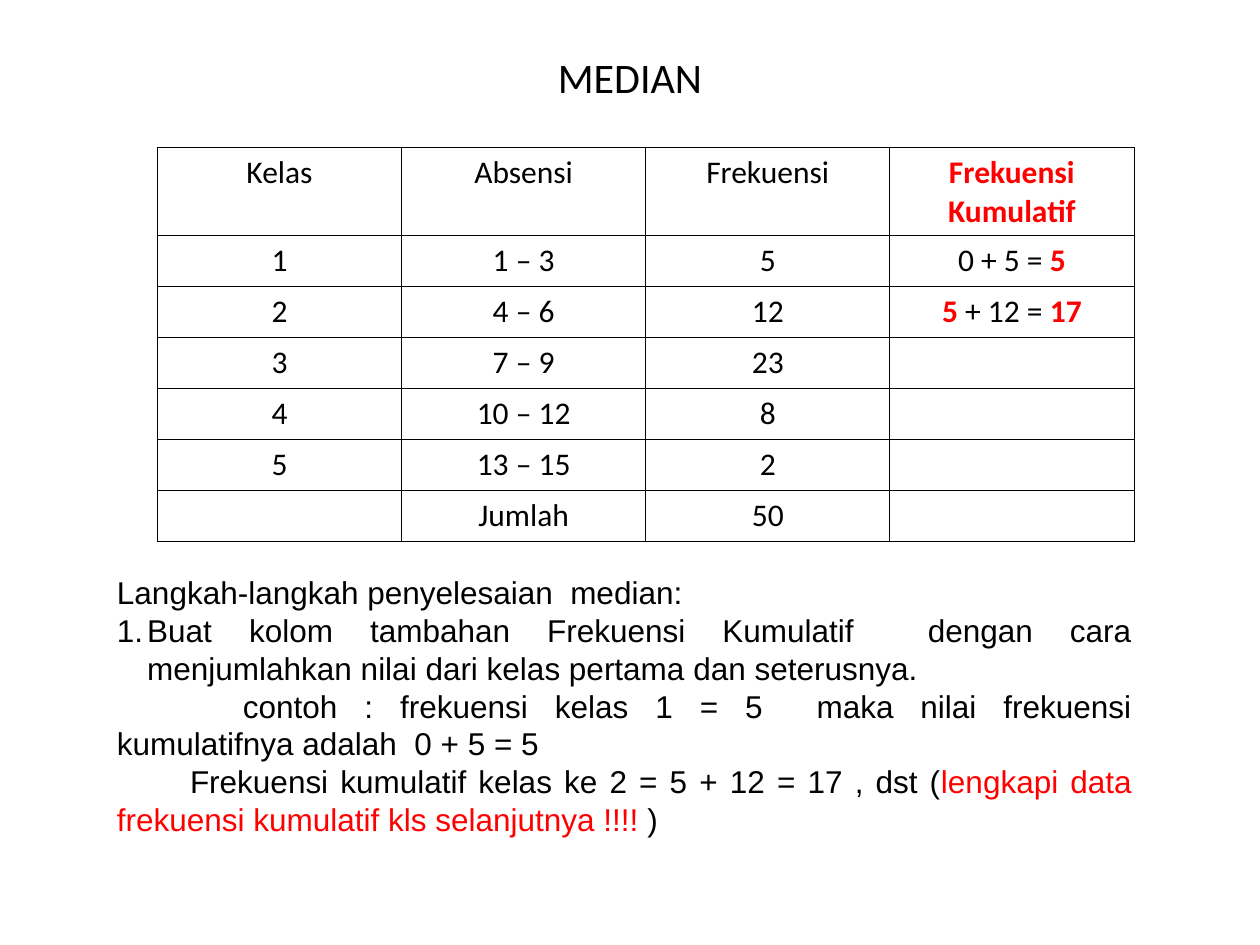
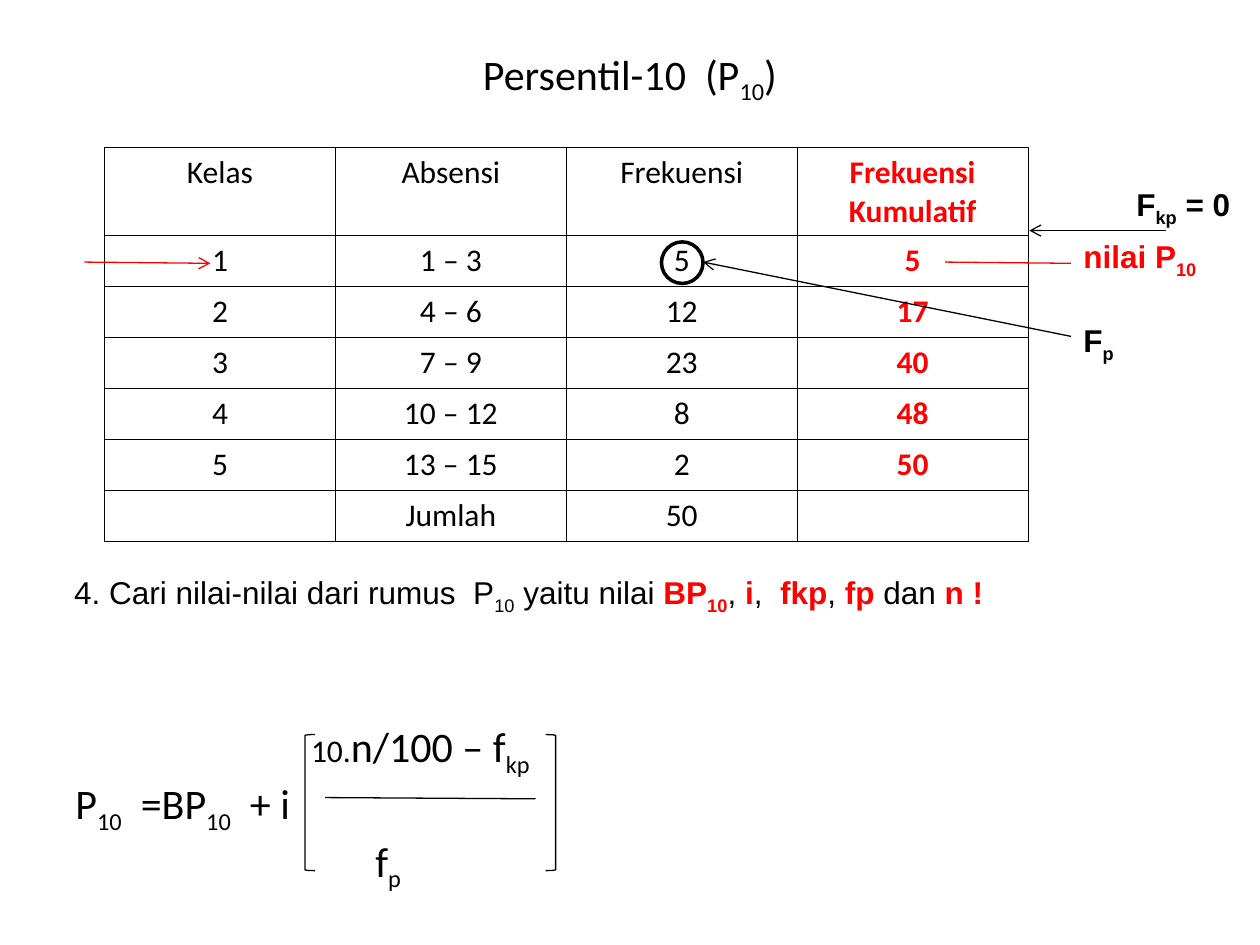
from dataclasses import dataclass

from lxml.etree import SubElement
from pptx import Presentation
from pptx.dml.color import RGBColor
from pptx.enum.shapes import MSO_CONNECTOR as Connector, MSO_SHAPE as Shape
from pptx.enum.text import MSO_ANCHOR as Anchor, PP_ALIGN as Align
from pptx.oxml import parse_xml
from pptx.oxml.ns import nsdecls, qn
from pptx.util import Inches, Pt


@dataclass(frozen=True)
class Theme:
    ink: RGBColor = RGBColor(0, 0, 0)
    accent: RGBColor = RGBColor(255, 0, 0)
    heading_font: str = "Calibri"
    body_font: str = "Arial"
    title_size: Pt = Pt(24)
    body_size: Pt = Pt(18)
    thin_line: Pt = Pt(0.75)
    ring_line: Pt = Pt(2)


theme = Theme()


def write(paragraph, text, font=theme.body_font, size=theme.body_size,
          bold=False, accent_bold=True, align=Align.LEFT):
    """Add marked-up text: *accent colour* and ~subscript~."""
    paragraph.alignment = align
    paragraph.font.name = font
    paragraph.font.size = size
    paragraph.font.bold = bold
    paragraph.font.color.rgb = theme.ink
    for part_number, part in enumerate(text.split("*")):
        for piece_number, piece in enumerate(part.split("~")):
            if not piece:
                continue
            run = paragraph.add_run()
            run.text = piece
            if part_number % 2:
                run.font.color.rgb = theme.accent
                run.font.bold = accent_bold
            if piece_number % 2:
                run._r.get_or_add_rPr().set("baseline", "-25000")


def add_text_frame(slide, left, top, width, height):
    box = slide.shapes.add_textbox(Inches(left), Inches(top), Inches(width), Inches(height))
    box.text_frame.word_wrap = True
    return box.text_frame


presentation = Presentation()
presentation.slide_width = Inches(10)
presentation.slide_height = Inches(7.5)

# Titles and frequency tables
header = ["Kelas", "Absensi", "Frekuensi", "*Frekuensi Kumulatif*"]
intervals = ["1 – 3", "4 – 6", "7 – 9", "10 – 12", "13 – 15", "Jumlah"]
frequencies = ["5", "12", "23", "8", "2", "50"]
classes = ["1", "2", "3", "4", "5", ""]
slide_contents = [
    ("MEDIAN", 1.25, 7.75, ["0 + 5 = *5*", "*5* + 12 = *17*", "", "", "", ""]),
    ("Persentil-10  (P~10~)", 0.83, 7.33, ["*5*", "*17*", "*40*", "*48*", "*50*", ""]),
]
for title, table_left, table_width, cumulative in slide_contents:
    slide = presentation.slides.add_slide(presentation.slide_layouts[6])
    title_frame = add_text_frame(slide, 0.5, 0.3, 9, 0.62)
    title_frame.vertical_anchor = Anchor.MIDDLE
    write(title_frame.paragraphs[0], title, theme.heading_font, theme.title_size,
          align=Align.CENTER)

    rows = [header, *zip(classes, intervals, frequencies, cumulative)]
    table = slide.shapes.add_table(
        len(rows), len(header), Inches(table_left), Inches(1.17),
        Inches(table_width), Inches(3.13)).table
    table.first_row = False
    table.horz_banding = False
    for row_number, row in enumerate(rows):
        table.rows[row_number].height = Inches(0.405 if row_number else 0.7)
        for column_number, text in enumerate(row):
            cell = table.cell(row_number, column_number)
            cell.fill.background()
            for position, side in enumerate(["lnL", "lnR", "lnT", "lnB"]):
                border = parse_xml(
                    f'<a:{side} {nsdecls("a")} w="{Pt(0.45)}"><a:solidFill>'
                    f'<a:srgbClr val="{theme.ink}"/></a:solidFill></a:{side}>')
                cell._tc.get_or_add_tcPr().insert(position, border)
            write(cell.text_frame.paragraphs[0], text, theme.heading_font,
                  align=Align.CENTER)

median_slide, percentile_slide = presentation.slides

# Steps for the median: text, left margin, first-line indent
steps = [
    ("Langkah-langkah penyelesaian  median:", 0, 0),
    ("Buat kolom tambahan Frekuensi Kumulatif  dengan cara menjumlahkan nilai "
     "dari kelas pertama dan seterusnya.", 0.24, -0.24),
    ("contoh : frekuensi kelas 1 = 5  maka nilai frekuensi kumulatifnya adalah  "
     "0 + 5 = 5", 0, 1),
    ("Frekuensi kumulatif kelas ke 2 = 5 + 12 = 17 , dst (*lengkapi data frekuensi "
     "kumulatif kls selanjutnya !!!!* )", 0, 0.58),
]
steps_frame = add_text_frame(median_slide, 0.83, 4.5, 8.25, 2.5)
for number, (text, margin, indent) in enumerate(steps):
    paragraph = steps_frame.add_paragraph() if number else steps_frame.paragraphs[0]
    properties = paragraph._p.get_or_add_pPr()
    properties.set("marL", str(Inches(margin)))
    properties.set("indent", str(Inches(indent)))
    if indent < 0:
        SubElement(properties, qn("a:buAutoNum"), type="arabicPeriod")
    write(paragraph, text, accent_bold=False, align=Align.JUSTIFY)

# Labels and instruction beside and below the percentile table
labels = [
    ("*nilai P~10~*", 8.5, 1.83, 1.5, True),
    ("F~p~", 8.5, 2.5, 0.83, True),
    ("F~kp~ = 0", 8.92, 1.42, 1.08, True),
    ("4. Cari nilai-nilai dari rumus  P~10~ yaitu nilai *BP~10~*, *i*,  *fkp*, "
     "*fp *dan *n !*", 0.49, 4.5, 8.68, False),
]
for text, left, top, width, bold in labels:
    label_frame = add_text_frame(percentile_slide, left, top, width, 0.44)
    write(label_frame.paragraphs[0], text, bold=bold)

# Percentile formula
formula_lines = [("n/100 – f~kp~", 1.87), ("P~10~  =BP~10~  + i", 0), ("f~p~", 2.38)]
formula_frame = add_text_frame(percentile_slide, 0.5, 5.67, 5.42, 1.47)
for number, (text, margin) in enumerate(formula_lines):
    paragraph = formula_frame.add_paragraph() if number else formula_frame.paragraphs[0]
    paragraph._p.get_or_add_pPr().set("marL", str(Inches(margin)))
    if number == 0:
        multiplier = paragraph.add_run()
        multiplier.text = "10."
        multiplier.font.size = theme.body_size
    write(paragraph, text, theme.heading_font, theme.title_size)

# Ring around the class frequency and brackets around the fraction
outlines = [
    (Shape.OVAL, 5.25, 1.92, 0.33, 0.33, theme.ring_line),
    (Shape.LEFT_BRACKET, 2.42, 5.83, 0.08, 1.08, theme.thin_line),
    (Shape.RIGHT_BRACKET, 4.33, 5.83, 0.08, 1.08, theme.thin_line),
]
for kind, left, top, width, height, line_width in outlines:
    shape = percentile_slide.shapes.add_shape(
        kind, Inches(left), Inches(top), Inches(width), Inches(height))
    shape.shadow.inherit = False
    shape.fill.background()
    shape.line.color.rgb = theme.ink
    shape.line.width = line_width

# Pointers and fraction bar: start, end, colour, arrowhead at the end
lines = [
    ((7.5, 2.08), (8.5, 2.09), theme.accent, False),
    ((0.67, 2.08), (1.67, 2.09), theme.accent, True),
    ((8.5, 2.67), (5.58, 2.08), theme.ink, True),
    ((9.25, 1.83), (8.17, 1.83), theme.ink, True),
    ((2.58, 6.33), (4.25, 6.34), theme.ink, False),
]
for start, end, color, has_arrow in lines:
    connector = percentile_slide.shapes.add_connector(
        Connector.STRAIGHT, *[Inches(value) for value in start + end])
    connector.line.color.rgb = color
    connector.line.width = theme.thin_line
    if has_arrow:
        SubElement(connector.line._get_or_add_ln(), qn("a:tailEnd"), type="arrow")
    SubElement(connector._element.spPr, qn("a:effectLst"))

presentation.save("out.pptx")
